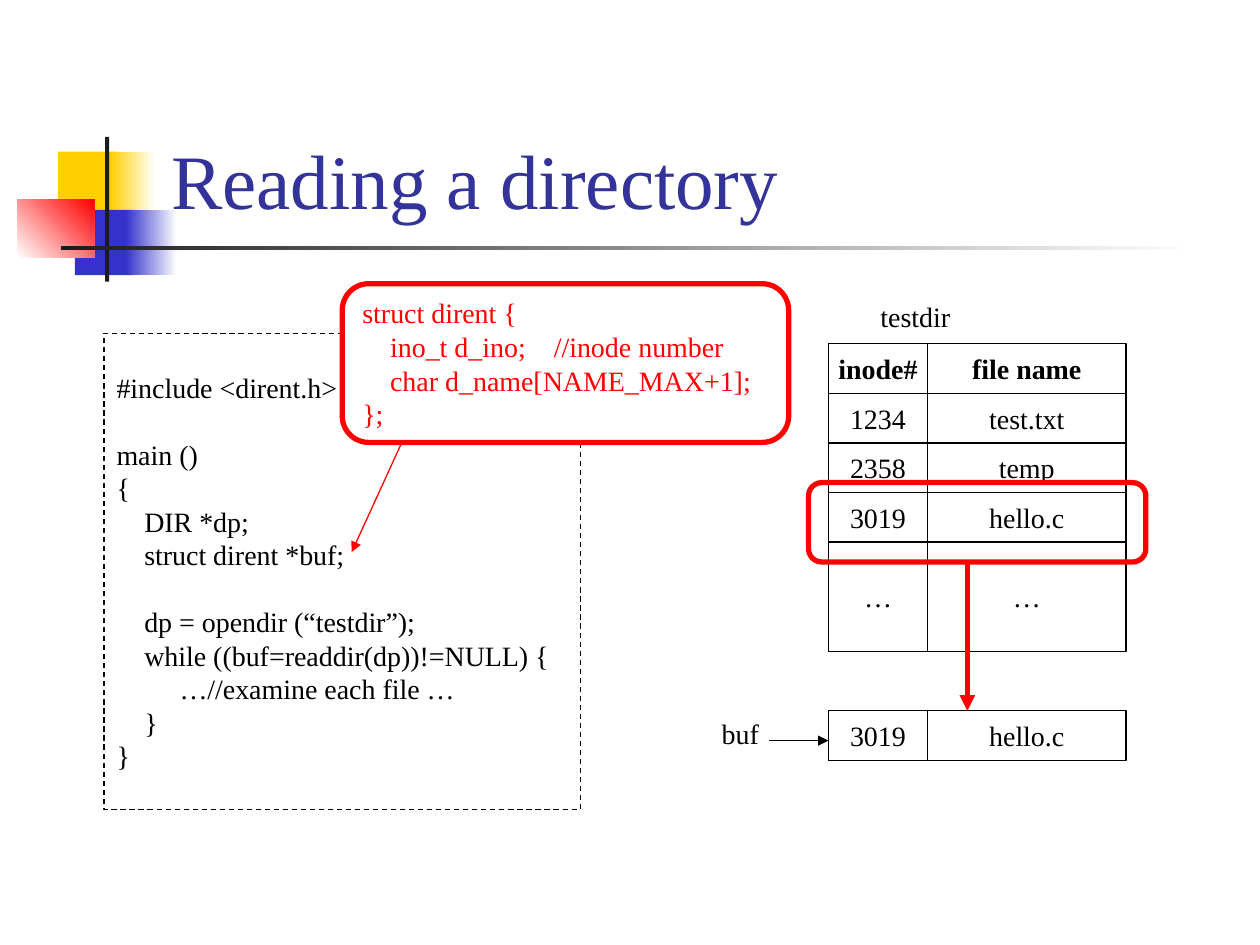
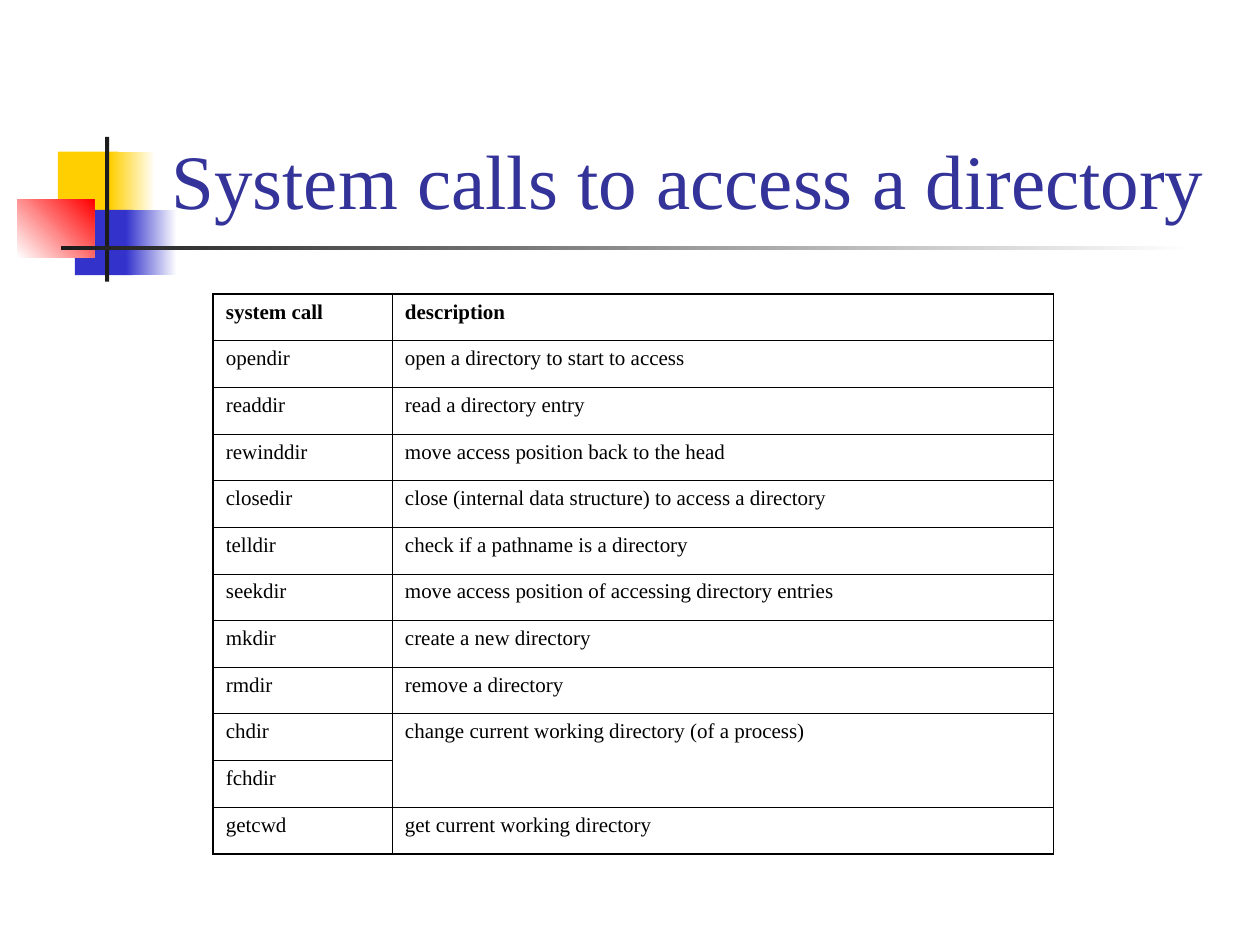
import pptx
import pptx.dml.color
import pptx.enum.dml
import pptx.enum.shapes
import pptx.enum.text
import pptx.oxml
import pptx.oxml.ns
import pptx.util
from lxml import etree

Cm = pptx.util.Cm
Pt = pptx.util.Pt
RGBColor = pptx.dml.color.RGBColor
SHAPE = pptx.enum.shapes.MSO_SHAPE
ALIGN = pptx.enum.text.PP_ALIGN
ANCHOR = pptx.enum.text.MSO_ANCHOR
qn = pptx.oxml.ns.qn

# Shared look
FONT = "Times New Roman"
BLACK = RGBColor(0x00, 0x00, 0x00)
WHITE = RGBColor(0xFF, 0xFF, 0xFF)
RED = RGBColor(0xFF, 0x00, 0x00)
YELLOW = RGBColor(0xFF, 0xCF, 0x01)
BLUE = RGBColor(0x33, 0x33, 0xCC)
INDIGO = RGBColor(0x33, 0x33, 0x99)
CHARCOAL = RGBColor(0x1C, 0x1C, 0x1C)
THIN, THICK = 0.75, 3

# Title ornament: left, top, width, height, start colour, end colour, angle
ORNAMENT = [
    (1.17, 3.06, 1.22, 1.32, YELLOW, None, 0),
    (2.22, 3.06, 0.91, 1.32, YELLOW, WHITE, 0),
    (1.51, 4.23, 1.17, 1.32, BLUE, None, 0),
    (2.54, 4.23, 1.02, 1.32, BLUE, WHITE, 0),
    (0.35, 4.02, 1.55, 1.17, WHITE, RED, 45),
    (2.12, 2.76, 0.08, 2.92, CHARCOAL, None, 0),
    (1.23, 4.95, 22.86, 0.09, CHARCOAL, WHITE, 0),
]

# Slide 1 content: a tab is one indent step, None leaves a line's gap
PROGRAM = [
    "#include <dirent.h>",
    None,
    "main ()",
    "{",
    "\tDIR *dp;",
    "\tstruct dirent *buf;",
    None,
    "\tdp = opendir (“testdir”);",
    "\twhile ((buf=readdir(dp))!=NULL) {",
    "\t\t…//examine each file …",
    "\t}",
    "}",
]
PROGRAM_TABS = [0.56, 1.27]
STRUCT = [
    "struct dirent {",
    "\tino_t d_ino;\t//inode number",
    "\tchar d_name[NAME_MAX+1];",
    "};",
]
STRUCT_TABS = [0.56, 3.86]
ENTRIES = [  # inode, name, row height
    ("inode#", "file name", 1),
    ("1234", "test.txt", 1),
    ("2358", "temp", 1),
    ("3019", "hello.c", 1),
    ("…", "…", 2.2),
]
BUFFER = [("3019", "hello.c", 1)]
ENTRY_LEFT, ENTRY_TOP, BUFFER_TOP = 16.7, 6.93, 14.33
ENTRY_WIDTHS = (2, 4)

# Slide 2 content: None joins the cell to the one above
CALLS = [
    ("system call", "description"),
    ("opendir", "open a directory to start to access"),
    ("readdir", "read a directory entry"),
    ("rewinddir", "move access position back to the head"),
    ("closedir", "close (internal data structure) to access a directory"),
    ("telldir", "check if a pathname is a directory"),
    ("seekdir", "move access position of accessing directory entries"),
    ("mkdir", "create a new directory"),
    ("rmdir", "remove a directory"),
    ("chdir", "change current working directory (of a process)"),
    ("fchdir", None),
    ("getcwd", "get current working directory"),
]
CALL_WIDTHS = (3.61, 13.33)
CALL_ROW = 0.94


def add_span(para, text, size, color, bold=False):
    span = para.add_run()
    span.text = text
    span.font.name = FONT
    span.font.size = Pt(size)
    span.font.bold = bold
    span.font.color.rgb = color


def write_lines(frame, lines, color=BLACK, bold=False, align=ALIGN.LEFT, tabs=()):
    """Write 16 pt lines, with tab stops in centimetres."""
    gap, first = 0, True
    for line in lines:
        if line is None:
            gap = 19
            continue
        para = frame.paragraphs[0] if first else frame.add_paragraph()
        para.alignment = align
        para.space_before = Pt(gap)
        add_span(para, line, 16, color, bold)
        if tabs:
            stops = etree.SubElement(para._p.get_or_add_pPr(), qn("a:tabLst"))
            for stop in tabs:
                etree.SubElement(stops, qn("a:tab"), pos=str(Cm(stop)), algn="l")
        gap, first = 0, False


def add_box(page, kind, left, top, width, height, line=None, weight=THIN, fill=None):
    box = page.shapes.add_shape(kind, Cm(left), Cm(top), Cm(width), Cm(height))
    box.shadow.inherit = False
    if fill is None:
        box.fill.background()
    else:
        box.fill.solid()
        box.fill.fore_color.rgb = fill
    if line is None:
        box.line.fill.background()
    else:
        box.line.color.rgb = line
        box.line.width = Pt(weight)
    box.text_frame.vertical_anchor = ANCHOR.MIDDLE
    return box


def add_label(page, text, left, top, width):
    label = page.shapes.add_textbox(Cm(left), Cm(top), Cm(width), Cm(0.94))
    label.text_frame.word_wrap = True
    write_lines(label.text_frame, [text])


def add_arrow(page, start, end, color, weight=THIN):
    arrow = page.shapes.add_connector(
        pptx.enum.shapes.MSO_CONNECTOR.STRAIGHT, *[Cm(v) for v in start + end])
    arrow.line.color.rgb = color
    arrow.line.width = Pt(weight)
    properties = arrow.element.spPr
    etree.SubElement(properties.find(qn("a:ln")), qn("a:tailEnd"), type="triangle")
    etree.SubElement(properties, qn("a:effectLst"))


def add_entries(page, entries, top):
    for row, (inode, name, height) in enumerate(entries):
        left = ENTRY_LEFT
        for text, width in zip((inode, name), ENTRY_WIDTHS):
            cell = add_box(page, SHAPE.RECTANGLE, left, top, width, height, BLACK)
            cell.text_frame.word_wrap = False
            write_lines(cell.text_frame, [text], align=ALIGN.CENTER,
                        bold=text in ("inode#", "file name"))
            left += width
        top += height


def set_borders(cell, weights):
    """Draw black cell borders; weights run left, right, top, bottom."""
    properties = cell._tc.get_or_add_tcPr()
    for side, weight in zip("LRTB", weights):
        line = etree.SubElement(properties, qn("a:ln" + side), w=str(Pt(weight)))
        fill = etree.SubElement(line, qn("a:solidFill"))
        etree.SubElement(fill, qn("a:srgbClr"), val=str(BLACK))


def add_ornament(page, layout):
    """Draw the title ornament and move it behind everything on the layout."""
    tree = layout.shapes.element
    for order, (left, top, width, height, start, end, angle) in enumerate(ORNAMENT):
        part = add_box(page, SHAPE.RECTANGLE, left, top, width, height, fill=start)
        if end is not None:
            part.fill.gradient()
            part.fill.gradient_angle = angle
            for stop, color in zip(part.fill.gradient_stops, (start, end)):
                stop.color.rgb = color
        part.name = f"Ornament {order + 1}"
        part.element.nvSpPr.cNvPr.set("id", str(100 + order))
        tree.insert(2 + order, part.element)


def add_page(deck, layout, title):
    page = deck.slides.add_slide(layout)
    holder = page.shapes.title
    holder.left, holder.top, holder.width, holder.height = (
        Cm(3.2), Cm(0.6), Cm(21.64), Cm(4.06))
    frame = holder.text_frame
    frame.auto_size = pptx.enum.text.MSO_AUTO_SIZE.NONE
    frame.word_wrap = True
    frame.vertical_anchor = ANCHOR.BOTTOM
    frame.paragraphs[0].alignment = ALIGN.LEFT
    add_span(frame.paragraphs[0], title, 44, INDIGO)
    return page


deck = pptx.Presentation()
deck.slide_width, deck.slide_height = Cm(25.4), Cm(19.05)
title_only = deck.slide_layouts[5]

# Slide 1: program and directory entries
page = add_page(deck, title_only, "Reading a directory")
add_ornament(page, title_only)

program = add_box(page, SHAPE.RECTANGLE, 2.1, 6.72, 9.6, 9.6, BLACK)
program.line.dash_style = pptx.enum.dml.MSO_LINE.DASH
write_lines(program.text_frame, PROGRAM, tabs=PROGRAM_TABS)

add_entries(page, ENTRIES, ENTRY_TOP)
add_label(page, "testdir", 17.5, 5.92, 2.3)

struct = add_box(page, SHAPE.ROUNDED_RECTANGLE, 6.9, 5.72, 9, 3.2, RED, THICK, WHITE)
write_lines(struct.text_frame, STRUCT, RED, tabs=STRUCT_TABS)
add_arrow(page, (8.1, 8.92), (7.09, 11.13), RED)

add_entries(page, BUFFER, BUFFER_TOP)
add_label(page, "buf", 14.3, BUFFER_TOP, 1.6)
add_arrow(page, (15.5, 14.93), (ENTRY_LEFT, 14.93), BLACK)

add_box(page, SHAPE.ROUNDED_RECTANGLE, 16.3, 9.73, 6.8, 1.6, RED, THICK)
add_arrow(page, (19.5, 11.33), (19.5, BUFFER_TOP), RED, THICK)

# Slide 2: table of system calls
page = add_page(deck, title_only, "System calls to access a directory")
table = page.shapes.add_table(
    len(CALLS), 2, Cm(4.3), Cm(5.93), Cm(sum(CALL_WIDTHS)), Cm(CALL_ROW * len(CALLS))).table
table.first_row = table.horz_banding = False
for column, width in zip(table.columns, CALL_WIDTHS):
    column.width = Cm(width)
last = len(CALLS) - 1
for row, texts in enumerate(CALLS):
    table.rows[row].height = Cm(CALL_ROW)
    for column, text in enumerate(texts):
        cell = table.cell(row, column)
        outer = (column == 0, column == 1, row == 0, row == last)
        set_borders(cell, [1.08 if edge else 0.45 for edge in outer])
        cell.fill.background()
        if text is None:
            table.cell(row - 1, column).merge(cell)
            continue
        para = cell.text_frame.paragraphs[0]
        para.space_before = Pt(3)
        add_span(para, text, 12, BLACK, bold=row == 0)

deck.save("out.pptx")
